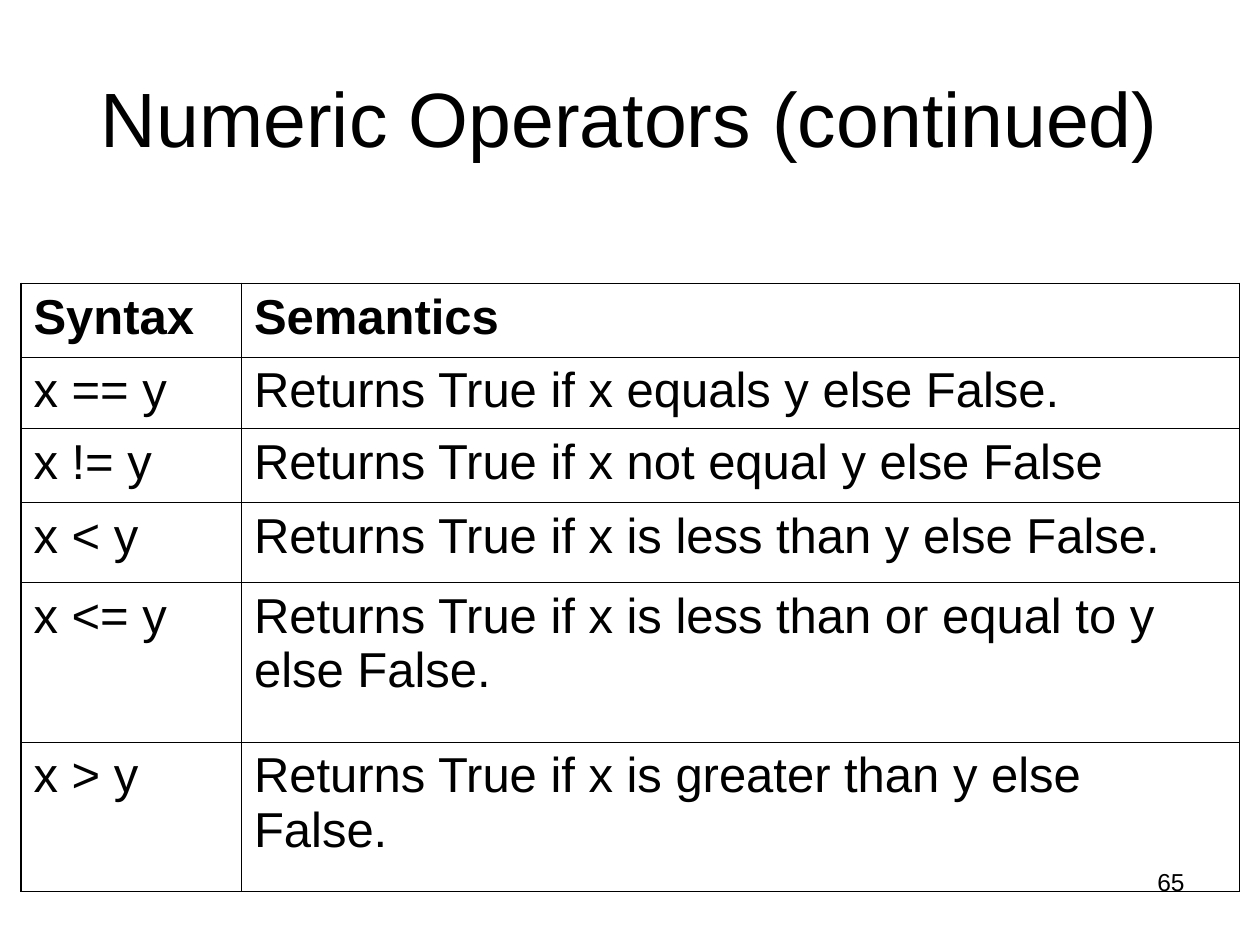
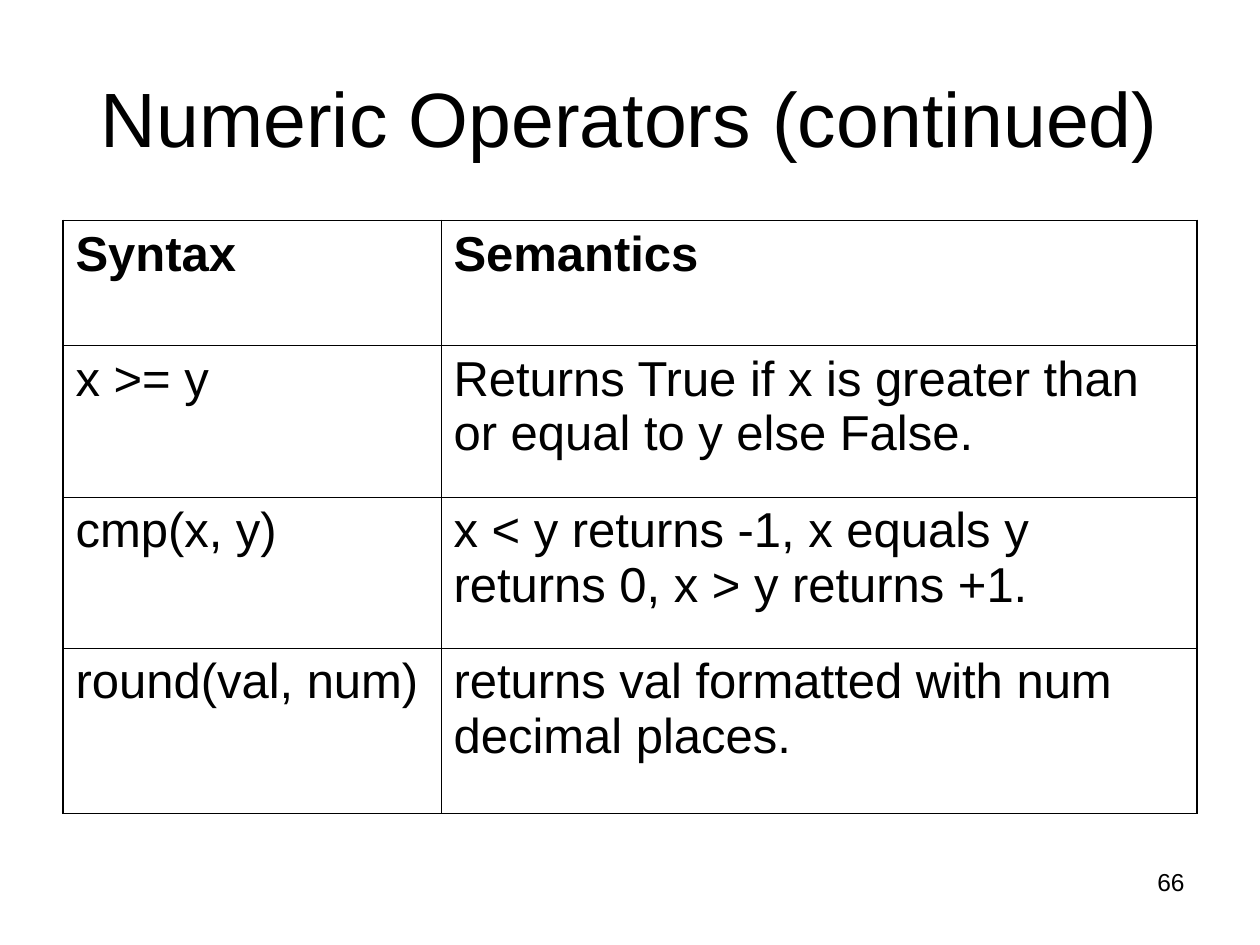
from lxml import etree
from pptx import Presentation
from pptx.dml.color import RGBColor
from pptx.enum import text
from pptx.oxml import ns
from pptx.util import Pt

COLORS = {"ink": "000000", "paper": "FFFFFF"}
FONT = "Arial"
THIN, THICK = 0.45, 1.08
HEADER = ("Syntax", "Semantics")

SLIDES = [
    {
        "number": "65",
        "left": 12, "top": 162,
        "cols": [126, 570.25],
        "heights": [42, 41, 42.25, 45.75, 91, 85.5],
        "rows": [
            ("x == y", "Returns True if x equals y else False."),
            ("x != y", "Returns True if x not equal y else False"),
            ("x < y", "Returns True if x is less than y else False."),
            ("x <= y", "Returns True if x is less than or equal to y else False."),
            ("x > y", "Returns True if x is greater than y else False."),
        ],
    },
    {
        "number": "66",
        "left": 36, "top": 126,
        "cols": [216, 432],
        "heights": [71.5, 86.5, 86.5, 94.5],
        "rows": [
            ("x >= y", "Returns True if x is greater than or equal to y else False."),
            ("cmp(x, y)", "x < y returns -1, x equals y returns 0, x > y returns +1."),
            ("round(val, num)", "returns val formatted with num decimal places."),
        ],
    },
]


def write(tf, words, size, align=text.PP_ALIGN.LEFT, bold=False):
    tf.word_wrap = True
    p = tf.paragraphs[0]
    p.alignment = align
    r = p.add_run()
    r.text = words
    r.font.name = FONT
    r.font.size = Pt(size)
    r.font.bold = bold
    r.font.color.rgb = RGBColor.from_string(COLORS["ink"])


def add_border(cell, side, width):
    ln = etree.SubElement(cell._tc.get_or_add_tcPr(), ns.qn(f"a:ln{side}"), w=str(Pt(width)))
    fill = etree.SubElement(ln, ns.qn("a:solidFill"))
    etree.SubElement(fill, ns.qn("a:srgbClr"), val=COLORS["ink"])


prs = Presentation()
prs.slide_width, prs.slide_height = Pt(720), Pt(540)
bg = prs.slide_master.background.fill
bg.solid()
bg.fore_color.rgb = RGBColor.from_string(COLORS["paper"])

for page in SLIDES:
    s = prs.slides.add_slide(prs.slide_layouts[5])

    title = s.shapes.title
    title.left, title.top, title.width, title.height = Pt(36), Pt(21.6), Pt(648), Pt(90)
    title.text_frame.auto_size = text.MSO_AUTO_SIZE.NONE
    title.text_frame.vertical_anchor = text.MSO_ANCHOR.MIDDLE
    write(title.text_frame, "Numeric Operators (continued)", 44, text.PP_ALIGN.CENTER)

    number = s.shapes.add_textbox(Pt(516), Pt(492), Pt(168), Pt(37.5))
    write(number.text_frame, page["number"], 14, text.PP_ALIGN.RIGHT)

    rows = [HEADER] + page["rows"]
    cols, heights = page["cols"], page["heights"]
    table = s.shapes.add_table(
        len(rows), len(cols), Pt(page["left"]), Pt(page["top"]),
        Pt(sum(cols)), Pt(sum(heights))).table
    table.first_row = table.horz_banding = False
    for col, width in zip(table.columns, cols):
        col.width = Pt(width)
    for row, height in zip(table.rows, heights):
        row.height = Pt(height)

    for i, row in enumerate(rows):
        for j, words in enumerate(row):
            cell = table.cell(i, j)
            write(cell.text_frame, words, 28, bold=i == 0)
            outer = {"L": j == 0, "R": j == len(cols) - 1,
                     "T": i == 0, "B": i == len(rows) - 1}
            for side, edge in outer.items():
                add_border(cell, side, THICK if edge else THIN)
            cell.fill.background()

prs.save("out.pptx")
